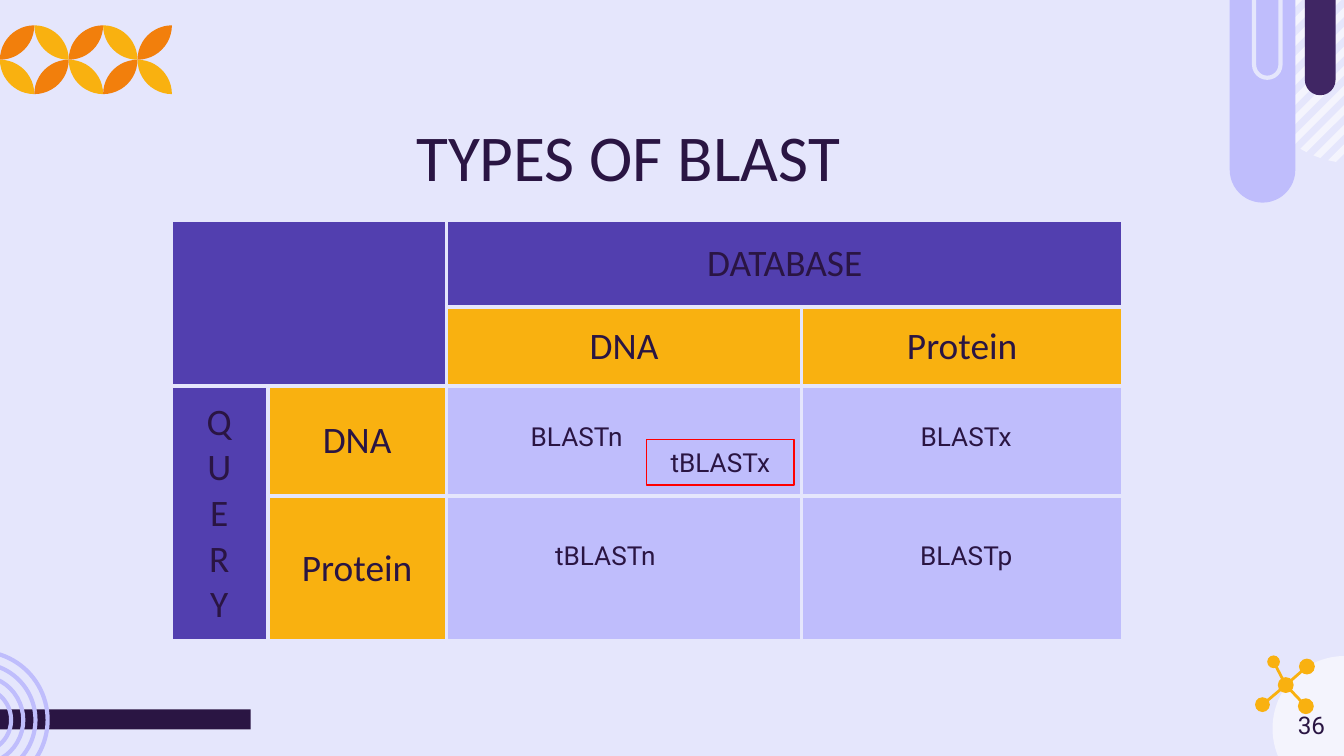
from math import cos, pi, sin, sqrt

from lxml import etree
from pptx import Presentation
from pptx.dml.color import RGBColor
from pptx.enum.shapes import MSO_CONNECTOR, MSO_SHAPE
from pptx.enum.text import MSO_ANCHOR, PP_ALIGN
from pptx.oxml.ns import qn
from pptx.util import Cm, Pt

RECT, OVAL = MSO_SHAPE.RECTANGLE, MSO_SHAPE.OVAL
ROUND = MSO_SHAPE.ROUND_2_SAME_RECTANGLE
LINE = MSO_CONNECTOR.STRAIGHT
LEFT, MID, RIGHT = PP_ALIGN.LEFT, PP_ALIGN.CENTER, PP_ALIGN.RIGHT

PAPER = RGBColor(0xE5, 0xE6, 0xFC)
PALE = RGBColor(0xF4, 0xF4, 0xFD)
LILAC = RGBColor(0xBF, 0xBD, 0xFC)
INK = RGBColor(0x2A, 0x15, 0x43)
PLUM = RGBColor(0x40, 0x26, 0x64)
VIOLET = RGBColor(0x52, 0x3F, 0xAF)
AMBER = RGBColor(0xF9, 0xB1, 0x10)
ORANGE = RGBColor(0xF2, 0x7F, 0x0C)
RED = RGBColor(0xFF, 0x00, 0x00)

# All lengths are in centimetres.
TITLE = "TYPES OF BLAST"
PAGE = "36"
COLS = [1.83, 3.38, 6.71, 6.07]
ROWS = [1.63, 1.5, 2.08, 2.08]
CELLS = [
    ["", "", "DATABASE", ""],
    ["", "", "DNA", "Protein"],
    ["\n".join("QUERY"), "DNA", "", ""],
    ["", "Protein", "", ""],
]
FILLS = [
    [VIOLET, VIOLET, VIOLET, VIOLET],
    [VIOLET, VIOLET, AMBER, AMBER],
    [VIOLET, AMBER, LILAC, LILAC],
    [VIOLET, AMBER, LILAC, LILAC],
]
MERGES = [((0, 0), (1, 1)), ((0, 2), (0, 3)), ((2, 0), (3, 0))]
LABELS = [  # text, left, top, width, alignment
    ("BLASTn", 9.78, 7.82, 2.44, LEFT),
    ("BLASTp", 17.04, 10.08, 2.44, MID),
    ("tBLASTn", 10.24, 10.08, 3.17, LEFT),
    ("BLASTx", 17.04, 7.82, 2.44, MID),
]
PILLS = [  # left, width, height, fill, line
    (24.66, 0.58, 1.88, PLUM, None),
    (23.24, 1.24, 3.91, LILAC, None),
    (23.7, 0.5, 1.55, None, PAPER),
]
HUB = (24.3, 12.95, 0.15)  # centre x, centre y, radius
ATOMS = [(24.07, 12.51, 0.12), (24.7, 12.6, 0.15),
         (23.86, 13.32, 0.14), (24.68, 13.35, 0.15)]

deck = Presentation()
deck.slide_width, deck.slide_height = Cm(25.4), Cm(14.29)
slide = deck.slides.add_slide(deck.slide_layouts[6])
slide.background.fill.solid()
slide.background.fill.fore_color.rgb = PAPER
shapes = slide.shapes


def paint(shape, fill=None, line=None, width=2.25):
    shape.shadow.inherit = False
    if fill is None:
        shape.fill.background()
    else:
        shape.fill.solid()
        shape.fill.fore_color.rgb = fill
    if line is None:
        shape.line.fill.background()
    else:
        shape.line.color.rgb = line
        shape.line.width = Pt(width)


def add(kind, left, top, width, height, *look):
    shape = shapes.add_shape(kind, Cm(left), Cm(top), Cm(width), Cm(height))
    paint(shape, *look)
    return shape


def disc(x, y, r, *look):
    add(OVAL, x - r, y - r, 2 * r, 2 * r, *look)


def outline(points, fill):
    spots = [(Cm(x), Cm(y)) for x, y in points]
    form = shapes.build_freeform(*spots[0])
    form.add_line_segments(spots[1:])
    paint(form.convert_to_shape(), fill)


def write(frame, text, size, font, align, space=None):
    frame.text = text
    for para in frame.paragraphs:
        para.alignment = align
        if space:
            para.line_spacing = space
        for run in para.runs:
            run.font.size, run.font.name = Pt(size), font
            run.font.color.rgb = INK


def box(left, top, width, height):
    frame = shapes.add_textbox(
        Cm(left), Cm(top), Cm(width), Cm(height)).text_frame
    frame.word_wrap = True
    return frame


def edge(cell):
    """Draw all four borders of a table cell in the page colour."""
    props = cell._tc.get_or_add_tcPr()
    for at, side in enumerate(("lnL", "lnR", "lnT", "lnB")):
        line = etree.Element(qn("a:" + side), w=str(Pt(2.25)))
        fill = etree.SubElement(line, qn("a:solidFill"))
        etree.SubElement(fill, qn("a:srgbClr"), val=str(PAPER))
        props.insert(at, line)


def stripes(x, y, r, first, step, width, count):
    """Cut diagonal stripes, each with a constant x + y, from a disc."""
    for k in range(count):
        ends = []
        for total, sign in ((first + k * step, 1),
                            (first + k * step + width, -1)):
            off = (total - x - y) / 2
            half = sqrt(r * r / 2 - off * off)
            ends += [(x + off + s * half, y + off - s * half)
                     for s in (sign, -sign)]
        outline(ends, PALE)


def petals(top, size, cols, steps=12):
    """Fill two rows of cells with leaves that lean in turn."""
    turns = [k * pi / 2 / steps for k in range(steps + 1)]
    leaf = [(sin(t), 1 - cos(t)) for t in turns]
    leaf += [(1 - sin(t), cos(t)) for t in turns[1:-1]]
    for col in range(cols):
        for row in range(2):
            flip = (col + row) % 2 == 0
            outline([((col + (1 - u if flip else u)) * size,
                      top + (row + v) * size) for u, v in leaf],
                    ORANGE if flip else AMBER)


# Decoration
add(RECT, -0.64, 13.41, 5.38, 0.38, INK)
disc(25.42, 13.77, 1.37, PALE)
for k in range(4):
    disc(-0.4, 13.61, 1.3 - 0.23 * k, None, LILAC)
stripes(25.58, 1.13, 1.96, 24.43, 0.37, 0.18, 11)
for left, width, height, fill, line in PILLS:
    pill = add(ROUND, left, -0.08, width, height, fill, line)
    pill.adjustments[0] = 0.5
    pill.rotation = 180
petals(0.48, 0.65, 5)
for x, y, r in ATOMS:
    bond = shapes.add_connector(LINE, Cm(HUB[0]), Cm(HUB[1]), Cm(x), Cm(y))
    bond.line.color.rgb, bond.line.width = AMBER, Pt(1.5)
    etree.SubElement(bond._element.spPr, qn("a:effectLst"))
for atom in [HUB] + ATOMS:
    disc(*atom, AMBER)

# Table
grid = shapes.add_table(len(ROWS), len(COLS), Cm(3.23), Cm(4.17),
                        Cm(sum(COLS)), Cm(sum(ROWS))).table
grid.first_row = grid.horz_banding = False
for col, width in zip(grid.columns, COLS):
    col.width = Cm(width)
for row, height in zip(grid.rows, ROWS):
    row.height = Cm(height)
for start, end in MERGES:
    grid.cell(*start).merge(grid.cell(*end))
for r, texts in enumerate(CELLS):
    for c, text in enumerate(texts):
        cell = grid.cell(r, c)
        cell.fill.solid()
        cell.fill.fore_color.rgb = FILLS[r][c]
        cell.vertical_anchor = MSO_ANCHOR.MIDDLE
        cell.margin_top = cell.margin_bottom = Cm(0.25)
        edge(cell)
        if text:
            write(cell.text_frame, text, 20, "Calibri", MID)

# Text
page = box(23.77, 13.18, 1.52, 1.1)
page.margin_top = page.margin_bottom = Cm(0.25)
write(page, PAGE, 13, "Roboto", RIGHT)
for text, left, top, width, align in LABELS:
    write(box(left, top, width, 0.86), text, 14, "Roboto", align)
extra = add(RECT, 12.22, 8.31, 2.79, 0.86, None, RED, 0.75)
write(extra.text_frame, "tBLASTx", 14, "Roboto", MID)
title = box(3.1, 2.16, 17.55, 1.32)
title.vertical_anchor = MSO_ANCHOR.MIDDLE
write(title, TITLE, 35, "Calibri", MID, 1.15)

deck.save("out.pptx")
